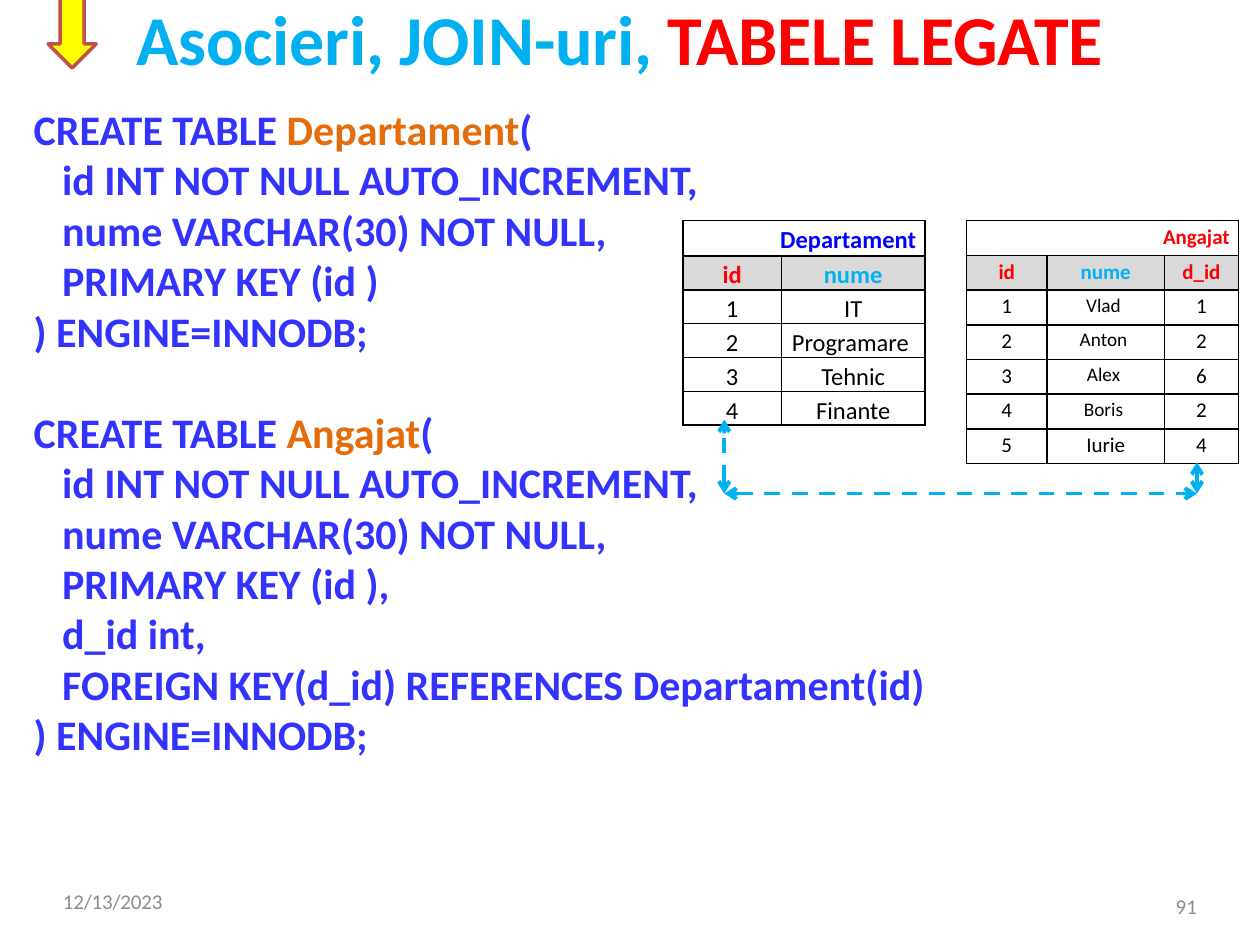
from lxml.etree import SubElement
from pptx import Presentation
from pptx.dml.color import RGBColor
from pptx.enum.dml import MSO_LINE
from pptx.enum.shapes import MSO_CONNECTOR, MSO_SHAPE
from pptx.enum.text import MSO_ANCHOR, PP_ALIGN
from pptx.oxml import parse_xml
from pptx.oxml.ns import nsdecls, qn
from pptx.util import Cm, Pt

COLORS = {
    "sky": "00B0F0", "red": "FF0000", "blue": "0000FF", "code": "3333FF",
    "orange": "E46C0A", "gray": "8C8C8C", "header": "D9D9D9",
    "white": "FFFFFF", "black": "000000", "yellow": "FFFF00", "brick": "C0504D",
}

CODE = [
    [("CREATE TABLE ", "code"), ("Departament", "orange"), ("(", "code")],
    [("   id INT NOT NULL AUTO_INCREMENT,", "code")],
    [("   nume VARCHAR(30) NOT NULL,", "code")],
    [("   PRIMARY KEY (id )", "code")],
    [(") ENGINE=INNODB;", "code")],
    [("CREATE TABLE ", "code"), ("Angajat", "orange"), ("(", "code")],
    [("   id INT NOT NULL AUTO_INCREMENT,", "code")],
    [("   nume VARCHAR(30) NOT NULL,", "code")],
    [("   PRIMARY KEY (id ),", "code")],
    [("   d_id int,", "code")],
    [("   FOREIGN KEY(d_id) REFERENCES Departament(id)", "code")],
    [(") ENGINE=INNODB;", "code")],
]
SECOND_STATEMENT = 5

DEPARTMENTS = [("1", "IT"), ("2", "Programare "), ("3", "Tehnic"), ("4", "Finante")]
EMPLOYEES = [("1", "Vlad ", "1"), ("2", "Anton ", "2"), ("3", "Alex ", "6"),
             ("4", "Boris ", "2"), ("5", "Iurie", "4")]


def rgb(name):
    return RGBColor.from_string(COLORS[name])


def add_run(p, text, size, color, bold=False, spacing=None):
    r = p.add_run()
    r.text = text
    r.font.name = "Calibri"
    r.font.size = Pt(size)
    r.font.bold = bold
    r.font.color.rgb = rgb(color)
    if spacing is not None:
        r._r.get_or_add_rPr().set("spc", str(spacing))


def add_box(s, left, top, width, height, margins=(0, 0, 0, 0)):
    tf = s.shapes.add_textbox(Cm(left), Cm(top), Cm(width), Cm(height)).text_frame
    tf.word_wrap = True
    tf.vertical_anchor = MSO_ANCHOR.MIDDLE
    tf.margin_left, tf.margin_top, tf.margin_right, tf.margin_bottom = map(Cm, margins)
    return tf


def add_title(s, left, top, width, height):
    p = add_box(s, left, top, width, height, (0, 0.03, 0, 0)).paragraphs[0]
    p.alignment = PP_ALIGN.CENTER
    add_run(p, "Asocieri, JOIN-uri, ", 40, "sky", True, -10)
    add_run(p, "TABELE LEGATE", 40, "red", True, -10)


def add_code(s, left, top, width, height):
    tf = add_box(s, left, top, width, height, (0.25, 0.13, 0.25, 0.13))
    for i, parts in enumerate(CODE):
        p = tf.add_paragraph() if i else tf.paragraphs[0]
        if i == SECOND_STATEMENT:
            p.space_before = Pt(29)
        for text, color in parts:
            add_run(p, text, 24, color, True)


def add_footer(s, left, top, width, height):
    field = 5.92
    p = add_box(s, left, top, field, height, (0, 0.03, 0, 0)).paragraphs[0]
    add_run(p, "12/13/2023", 12, "gray", spacing=-10)
    p = add_box(s, left + width - field, top, field, height, (0, 0.2, 0, 0)).paragraphs[0]
    p.alignment = PP_ALIGN.RIGHT
    add_run(p, "91", 12, "gray")


def style_cell(cell, fill):
    cell.fill.solid()
    cell.fill.fore_color.rgb = rgb(fill)
    cell.margin_left = cell.margin_right = Cm(0.18)
    cell.margin_top = cell.margin_bottom = 0
    tc_pr = cell._tc.get_or_add_tcPr()
    for i, side in enumerate(("lnL", "lnR", "lnT", "lnB")):
        tc_pr.insert(i, parse_xml(
            f'<a:{side} {nsdecls("a")} w="12700"><a:solidFill>'
            f'<a:srgbClr val="{COLORS["black"]}"/></a:solidFill></a:{side}>'))


def add_data_table(s, left, top, widths, heights, title, header, rows, size):
    shape = s.shapes.add_table(len(heights), len(widths), Cm(left), Cm(top),
                               Cm(sum(widths)), Cm(sum(heights)))
    table = shape.table
    table.first_row = table.horz_banding = False
    for column, width in zip(table.columns, widths):
        column.width = Cm(width)
    for row, height in zip(table.rows, heights):
        row.height = Cm(height)
    title_text, title_color = title
    grid = [[(title_text, title_color, size)],
            [(text, color, size) for text, color in header]]
    for row in rows:
        grid.append([(text, "black", 11 if text.endswith(" ") and size == 12 else size)
                     for text in row])
    for i, row in enumerate(grid):
        for j in range(len(widths)):
            style_cell(table.cell(i, j), "header" if i == 1 else "white")
        for j, (text, color, points) in enumerate(row):
            p = table.cell(i, j).text_frame.paragraphs[0]
            p.alignment = PP_ALIGN.CENTER if i else PP_ALIGN.RIGHT
            p.line_spacing = 1.15
            add_run(p, text, points, color, i < 2)
    table.cell(0, 0).merge(table.cell(0, len(widths) - 1))


def add_key_link(s, left, bottom, width, left_rise, right_rise):
    right = left + width
    for x, y in ((right, bottom), (left, bottom - left_rise), (right, bottom - right_rise)):
        start = right if x == right and y != bottom else left
        c = s.shapes.add_connector(MSO_CONNECTOR.STRAIGHT, Cm(start), Cm(bottom), Cm(x), Cm(y))
        c.line.color.rgb = rgb("sky")
        c.line.width = Pt(2.25)
        c.line.dash_style = MSO_LINE.DASH
        ln = c.line._get_or_add_ln()
        for end in ("a:headEnd", "a:tailEnd"):
            SubElement(ln, qn(end)).set("type", "arrow")
        SubElement(c._element.spPr, qn("a:effectLst"))


def add_marker(s, left, top, width, height):
    sp = s.shapes.add_shape(MSO_SHAPE.DOWN_ARROW, Cm(left), Cm(top), Cm(width), Cm(height))
    sp.shadow.inherit = False
    sp.fill.solid()
    sp.fill.fore_color.rgb = rgb("yellow")
    sp.line.color.rgb = rgb("brick")
    sp.line.width = Pt(2)


def main():
    prs = Presentation()
    prs.slide_width, prs.slide_height = Cm(25.4), Cm(19.05)
    s = prs.slides.add_slide(prs.slide_layouts[6])
    add_title(s, 0.64, -0.13, 23.7, 1.75)
    add_code(s, 0.43, 1.9, 24.97, 13.59)
    add_data_table(s, 13.77, 4.45, (1.98, 2.9), [0.71] + [0.61] * 5,
                   ("Departament", "blue"), [("id", "red"), ("nume", "sky")],
                   DEPARTMENTS, 14)
    add_data_table(s, 19.48, 4.45, (1.63, 2.36, 1.5), [0.7] * 7,
                   ("Angajat", "red"), [("id", "red"), ("nume", "sky"), ("d_id", "red")],
                   EMPLOYEES, 12)
    add_footer(s, 1.27, 17.65, 22.86, 1.02)
    add_key_link(s, 14.6, 9.95, 9.53, 1.49, 0.63)
    add_marker(s, 0.97, -1.35, 0.97, 2.72)
    prs.save("out.pptx")


if __name__ == "__main__":
    main()
